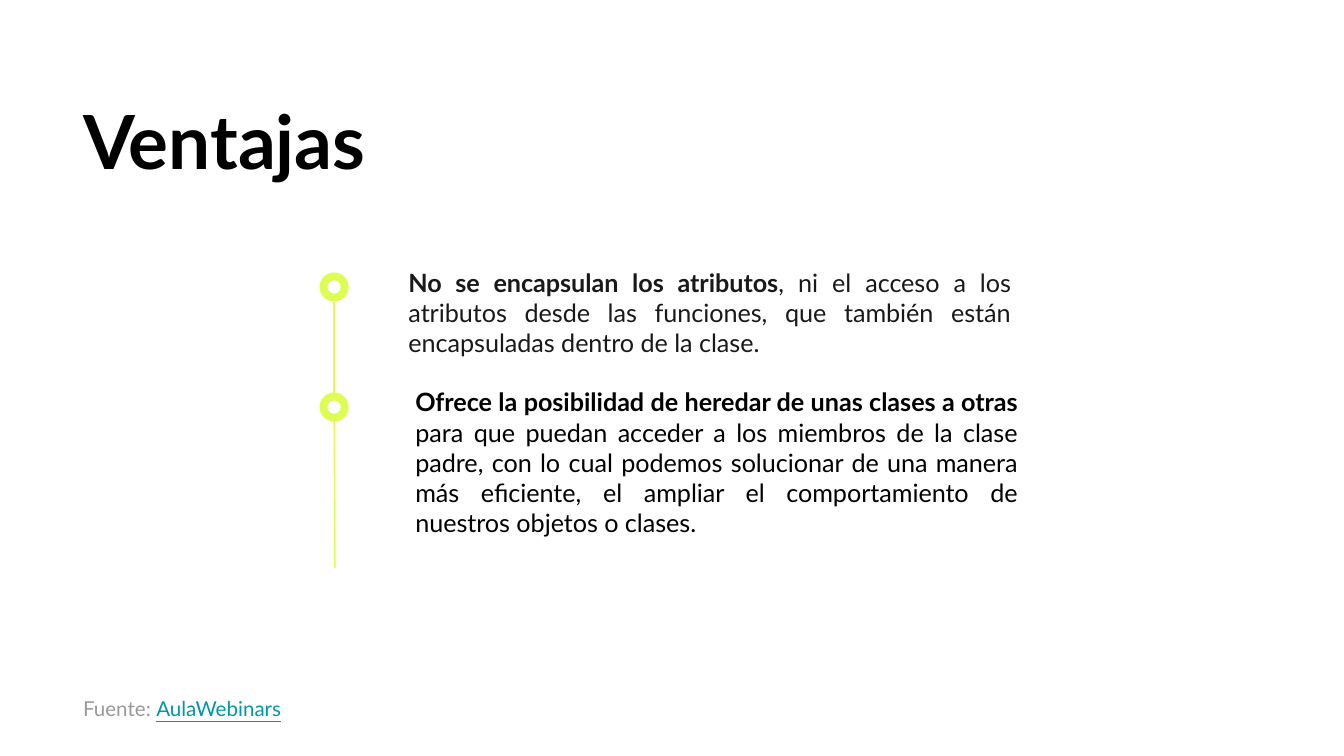
from lxml import etree
from pptx import Presentation
from pptx.dml.color import RGBColor
from pptx.enum.shapes import MSO_CONNECTOR, MSO_SHAPE
from pptx.enum.text import MSO_ANCHOR, MSO_AUTO_SIZE, PP_ALIGN
from pptx.oxml.ns import qn
from pptx.util import Cm, Pt

OVAL = MSO_SHAPE.OVAL
STRAIGHT = MSO_CONNECTOR.STRAIGHT
TOP = MSO_ANCHOR.TOP
NO_FIT = MSO_AUTO_SIZE.NONE
LEFT, JUSTIFY = PP_ALIGN.LEFT, PP_ALIGN.JUSTIFY

COLORS = {
    "lime": "DEFC52", "white": "FFFFFF", "black": "000000",
    "charcoal": "191919", "grey": "999999", "teal": "0097A7",
}
FONT = "Lato"
TITLE = "Ventajas"
ADVANTAGES = [
    {"lead": "No se encapsulan los atributos",
     "detail": ", ni el acceso a los atributos desde las funciones, "
               "que también están encapsuladas dentro de la clase.",
     "color": "charcoal", "frame": (7.47, 4.8, 11.89, 2.24), "marker_top": 5.15},
    {"lead": "Ofrece la posibilidad de heredar de unas clases a otras",
     "detail": " para que puedan acceder a los miembros de la clase padre, "
               "con lo cual podemos solucionar de una manera más eficiente, "
               "el ampliar el comportamiento de nuestros objetos o clases.",
     "color": "black", "frame": (7.6, 7.06, 11.89, 3.4), "marker_top": 7.42},
]
SOURCE_LABEL, SOURCE_NAME = "Fuente: ", "AulaWebinars"
TITLE_FRAME = (1.32, 1.73, 22.61, 2.06)
SOURCE_FRAME = (1.32, 12.9, 19.61, 0.99)
MARKER_LEFT, RING, HOLE = 6.04, 0.55, 0.25
AXIS = MARKER_LEFT + RING / 2
TIMELINE_END = (6.33, 10.74)


def rgb(name):
    return RGBColor.from_string(COLORS[name])


def prepare(box, frame, size, color, align):
    box.left, box.top, box.width, box.height = map(Cm, frame)
    text = box.text_frame
    text.word_wrap = True
    text.auto_size = NO_FIT
    text.vertical_anchor = TOP
    text.margin_left = text.margin_right = Cm(0.25)
    text.margin_top = text.margin_bottom = Cm(0.25)
    paragraph = text.paragraphs[0]
    paragraph.alignment = align
    paragraph.space_before = Pt(0)
    properties = paragraph._p.get_or_add_pPr()
    properties.set("marL", "0")
    properties.set("indent", "0")
    etree.SubElement(properties, qn("a:buNone"))
    paragraph.font.name = FONT
    paragraph.font.size = Pt(size)
    paragraph.font.color.rgb = rgb(color)
    return paragraph


def add_run(paragraph, words):
    run = paragraph.add_run()
    run.text = words
    return run


def add_marker(slide, top):
    marker = slide.shapes.add_group_shape()
    for diameter, color in ((RING, "lime"), (HOLE, "white")):
        inset = (RING - diameter) / 2
        circle = marker.shapes.add_shape(
            OVAL, Cm(MARKER_LEFT + inset), Cm(top + inset), Cm(diameter), Cm(diameter))
        circle.shadow.inherit = False
        circle.fill.solid()
        circle.fill.fore_color.rgb = rgb(color)
        circle.line.fill.background()


def add_timeline(slide, start, end):
    line = slide.shapes.add_connector(STRAIGHT, *map(Cm, start + end))
    line.line.color.rgb = rgb("lime")
    line.line.width = Pt(0.75)
    etree.SubElement(line._element.spPr, qn("a:effectLst"))


def main():
    prs = Presentation()
    prs.slide_width, prs.slide_height = Cm(25.4), Cm(14.29)
    slide = prs.slides.add_slide(prs.slide_layouts[3])
    title, *bodies = slide.placeholders

    heading = prepare(title, TITLE_FRAME, 40, "black", LEFT)
    heading.line_spacing = 0.9
    heading.font.bold = True
    add_run(heading, TITLE)

    for body, advantage in zip(bodies, ADVANTAGES):
        paragraph = prepare(body, advantage["frame"], 13.5, advantage["color"], JUSTIFY)
        add_run(paragraph, advantage["lead"]).font.bold = True
        add_run(paragraph, advantage["detail"])
        add_marker(slide, advantage["marker_top"])

    first, second = (advantage["marker_top"] for advantage in ADVANTAGES)
    add_timeline(slide, (AXIS, first + RING), (AXIS, second))
    add_timeline(slide, (AXIS, second + RING), TIMELINE_END)

    source_box = slide.shapes.add_textbox(*map(Cm, SOURCE_FRAME))
    source = prepare(source_box, SOURCE_FRAME, 11, "grey", LEFT)
    add_run(source, SOURCE_LABEL)
    name = add_run(source, SOURCE_NAME)
    name.font.color.rgb = rgb("teal")
    name.font.underline = True

    prs.save("out.pptx")


if __name__ == "__main__":
    main()
